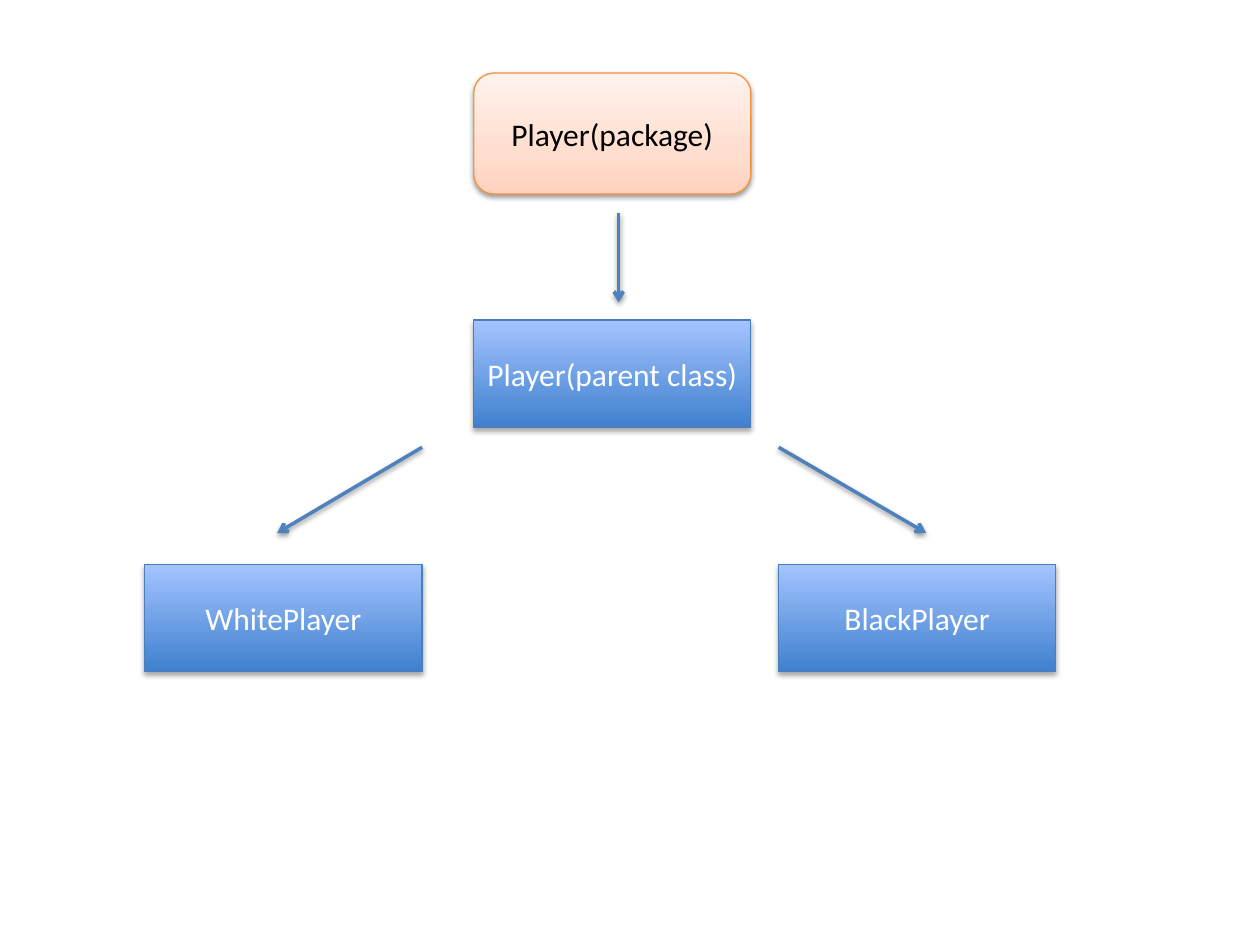
from dataclasses import dataclass

from lxml.etree import SubElement
from pptx import Presentation
from pptx.dml.color import RGBColor
from pptx.enum.shapes import MSO_CONNECTOR, MSO_SHAPE
from pptx.enum.text import MSO_ANCHOR, PP_ALIGN
from pptx.oxml.ns import qn
from pptx.util import Inches, Pt


@dataclass(frozen=True)
class Theme:
    font: str = "Calibri"
    size: int = 18
    dark: str = "000000"
    light: str = "FFFFFF"
    peach: tuple = ((0, "FFD2BD"), (35, "FFDED0"), (100, "FFF2ED"))
    blue: tuple = ((0, "3F80CE"), (100, "A4C4FF"))
    rim: str = "F69240"
    edge: str = "4B7EBC"
    arrow: str = "4F81BD"
    thin: float = 0.75
    thick: float = 2


THEME = Theme()


def color(hue):
    return RGBColor.from_string(hue)


def write(shape, text, size=THEME.size, hue=THEME.light, align=PP_ALIGN.CENTER):
    frame = shape.text_frame
    frame.word_wrap = True
    frame.vertical_anchor = MSO_ANCHOR.MIDDLE
    line = frame.paragraphs[0]
    line.alignment = align
    run = line.add_run()
    run.text = text
    run.font.name = THEME.font
    run.font.size = Pt(size)
    run.font.color.rgb = color(hue)


def shade(shape, stops):
    shape.fill.gradient()
    shape.fill.gradient_angle = 90
    ramp = shape.element.spPr.find(qn("a:gradFill")).find(qn("a:gsLst"))
    ramp.clear()
    for place, hue in stops:
        stop = SubElement(ramp, qn("a:gs"), pos=str(place * 1000))
        SubElement(stop, qn("a:srgbClr"), val=hue)


def stroke(shape, hue, width):
    shape.line.color.rgb = color(hue)
    shape.line.width = Pt(width)


def shadow(shape, drop=1.6, alpha=38):
    group = SubElement(shape.element.spPr, qn("a:effectLst"))
    cast = SubElement(group, qn("a:outerShdw"), blurRad=str(Pt(3.1)),
                      dist=str(Pt(drop)), dir="5400000", rotWithShape="0")
    tint = SubElement(cast, qn("a:srgbClr"), val=THEME.dark)
    SubElement(tint, qn("a:alpha"), val=str(alpha * 1000))


def node(slide, box, text, kind=MSO_SHAPE.RECTANGLE, stops=THEME.blue,
         edge=THEME.edge, hue=THEME.light, drop=1.8, alpha=35):
    shape = slide.shapes.add_shape(kind, *map(Inches, box))
    shade(shape, stops)
    stroke(shape, edge, THEME.thin)
    shadow(shape, drop, alpha)
    write(shape, text, hue=hue)


def arrow(slide, start, end):
    line = slide.shapes.add_connector(
        MSO_CONNECTOR.STRAIGHT, *map(Inches, start + end))
    stroke(line, THEME.arrow, THEME.thick)
    SubElement(line.element.spPr.find(qn("a:ln")), qn("a:tailEnd"), type="arrow")
    shadow(line)


def tree(slide, box):
    left, top, width, height = box
    wide, tall = 2.2, 0.85
    mid, right = left + 2.61, left + width - wide
    base = top + height - tall
    node(slide, (mid, top, wide, 0.96), "Player(package)",
         kind=MSO_SHAPE.ROUNDED_RECTANGLE, stops=THEME.peach,
         edge=THEME.rim, hue=THEME.dark, drop=1.6, alpha=38)
    for x, y, text in ((mid, top + 1.96, "Player(parent class)"),
                       (right, base, "BlackPlayer"),
                       (left, base, "WhitePlayer")):
        node(slide, (x, y, wide, tall), text)
    stem = left + 3.76
    arrow(slide, (stem, top + 1.11), (stem, top + 1.82))
    for start, end in ((right, right + 1.17), (left + wide, left + 1.05)):
        arrow(slide, (start, top + 2.97), (end, top + 3.65))


def main():
    deck = Presentation()
    deck.slide_width, deck.slide_height = Inches(10), Inches(7.5)
    slide = deck.slides.add_slide(deck.slide_layouts[6])
    tree(slide, (1.15, 0.58, 7.23, 4.75))
    deck.save("out.pptx")


if __name__ == "__main__":
    main()
